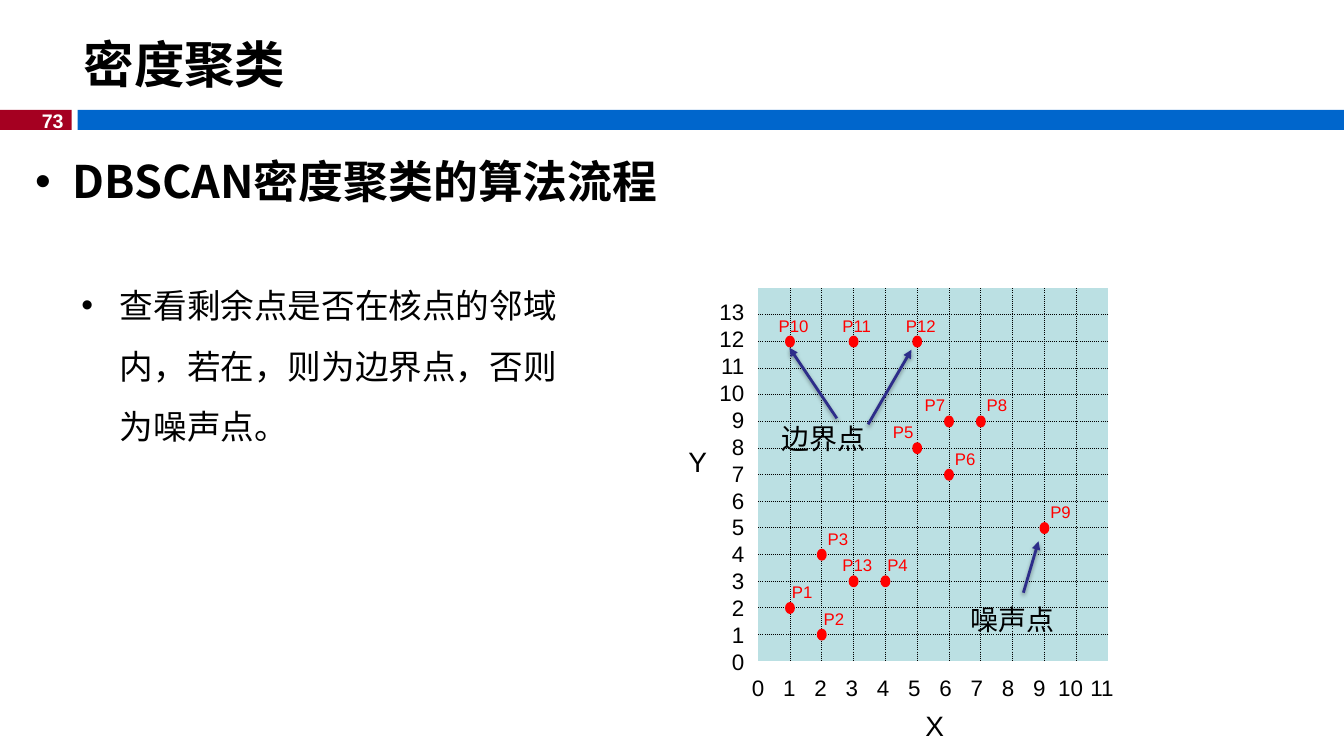
import dataclasses
import pptx
import pptx.util
import pptx.dml.color
import pptx.enum.shapes
import pptx.enum.text
import pptx.oxml
import pptx.oxml.ns
from lxml import etree

TITLE = "密度聚类"
PAGE_NUMBER = "73"
HEADING = "DBSCAN密度聚类的算法流程"
EXPLANATION = "查看剩余点是否在核点的邻域内，若在，则为边界点，否则为噪声点。"
X_TICKS = [str(n) for n in range(12)]
Y_TICKS = [str(n) for n in range(13, -1, -1)]
POINTS = [
    ("P10", 1, 12, "above"), ("P11", 3, 12, "above"), ("P12", 5, 12, "above"),
    ("P7", 6, 9, "left"), ("P8", 7, 9, "right"), ("P5", 5, 8, "left"),
    ("P6", 6, 7, "right"), ("P9", 9, 5, "right"), ("P1", 1, 2, "near"),
    ("P2", 2, 1, "near"), ("P4", 4, 3, "near"), ("P13", 3, 3, "above"),
    ("P3", 2, 4, "right"),
]
LABEL_SHIFT = {"above": -0.21, "right": -0.04, "left": -0.34, "near": -0.08}
LABEL_RISE = 0.31
CAPTIONS = [
    ("边界点", 7.65, 4.13, 1.28), ("噪声点", 9.53, 5.93, 1.28),
    ("X", 9.08, 6.98, 0.4), ("Y", 6.73, 4.36, 0.4),
]
ARROWS = [
    ((8.61, 4.21), (9.04, 3.47)),
    ((8.3, 4.15), (7.83, 3.45)),
    ((10.15, 5.88), (10.3, 5.37)),
]


@dataclasses.dataclass(frozen=True)
class Theme:
    latin: str = "Arial"
    chinese: str = "Noto Sans CJK SC"
    ink: str = "000000"
    white: str = "FFFFFF"
    badge: str = "A50021"
    band: str = "0066CC"
    grid: str = "BBE0E3"
    point: str = "FF0000"
    arrow: str = "2D2D8A"
    title: int = 36
    heading: int = 32
    body: int = 24
    caption: int = 20
    tick: int = 16
    page: int = 14
    label: int = 12


theme = Theme()
WIDTH, HEIGHT = 13.33, 7.5
COLUMNS, ROWS = 11, 14
GRID_LEFT, GRID_TOP, GRID_WIDTH, GRID_HEIGHT = 7.52, 2.86, 3.47, 3.7
COLUMN, ROW = GRID_WIDTH / COLUMNS, GRID_HEIGHT / ROWS
X_PITCH, Y_PITCH = 0.31, 19.23
DOT_WIDTH, DOT_HEIGHT = 0.07, 0.09

inch = pptx.util.Inches
align = pptx.enum.text.PP_ALIGN
preset = pptx.enum.shapes.MSO_SHAPE
ns = pptx.oxml.ns.nsdecls("a")
qn = pptx.oxml.ns.qn


def rgb(value):
    return pptx.dml.color.RGBColor.from_string(value)


def write(paragraph, words, size, color=theme.ink, font=theme.latin, bold=False):
    run = paragraph.add_run()
    run.text = words
    run.font.size = pptx.util.Pt(size)
    run.font.name = font
    run.font.bold = bold
    run.font.color.rgb = rgb(color)
    etree.SubElement(run.font._element, qn("a:ea"), typeface=theme.chinese)


def text_box(left, top, width, height, wrap=True):
    frame = slide.shapes.add_textbox(*map(inch, (left, top, width, height))).text_frame
    frame.word_wrap = wrap
    return frame


def add_bullet(paragraph, indent):
    properties = paragraph._p.get_or_add_pPr()
    properties.set("marL", str(inch(indent)))
    properties.set("indent", str(-inch(indent)))
    properties.append(pptx.oxml.parse_xml(f'<a:buFont {ns} typeface="Arial"/>'))
    properties.append(pptx.oxml.parse_xml(f'<a:buChar {ns} char="•"/>'))


def solid(kind, left, top, width, height, color):
    figure = slide.shapes.add_shape(kind, *map(inch, (left, top, width, height)))
    figure.shadow.inherit = False
    figure.fill.solid()
    figure.fill.fore_color.rgb = rgb(color)
    figure.line.fill.background()
    return figure


def style_cell(cell, row, column):
    cell.margin_left = cell.margin_right = cell.margin_top = cell.margin_bottom = 0
    etree.SubElement(cell.text_frame.paragraphs[0]._p, qn("a:endParaRPr"), sz="800")
    inner = {"L": column > 0, "R": column < COLUMNS - 1, "T": row > 0, "B": row < ROWS - 1}
    for side, visible in inner.items():
        stroke = (f'<a:solidFill><a:srgbClr val="{theme.ink}"/></a:solidFill>'
                  '<a:prstDash val="sysDot"/>') if visible else "<a:noFill/>"
        cell._tc.get_or_add_tcPr().append(pptx.oxml.parse_xml(
            f'<a:ln{side} {ns} w="9525">{stroke}</a:ln{side}>'))
    cell.fill.solid()
    cell.fill.fore_color.rgb = rgb(theme.grid)


deck = pptx.Presentation()
deck.slide_width, deck.slide_height = inch(WIDTH), inch(HEIGHT)
slide = deck.slides.add_slide(deck.slide_layouts[5])

solid(preset.RECTANGLE, 0, 1.09, 0.71, 0.2, theme.badge)
solid(preset.RECTANGLE, 0.77, 1.09, WIDTH - 0.77, 0.2, theme.band)
page = text_box(0.29, 1.03, 0.44, 0.34, wrap=False).paragraphs[0]
page.alignment = align.RIGHT
write(page, PAGE_NUMBER, theme.page, theme.white, bold=True)

title = slide.shapes.title
title.left, title.top, title.width, title.height = map(inch, (0.73, 0.26, 12.6, 0.74))
title.text_frame.auto_size = pptx.enum.text.MSO_AUTO_SIZE.NONE
title.text_frame.vertical_anchor = pptx.enum.text.MSO_ANCHOR.MIDDLE
title.text_frame.paragraphs[0].alignment = align.LEFT
write(title.text_frame.paragraphs[0], TITLE, theme.title, font=theme.chinese, bold=True)

heading = text_box(0.25, 1.48, 12, 0.8).paragraphs[0]
add_bullet(heading, 0.37)
write(heading, HEADING, theme.heading, font=theme.chinese, bold=True)

explanation = text_box(0.71, 2.58, 5.02, 1.85).paragraphs[0]
add_bullet(explanation, 0.38)
explanation.line_spacing = 1.5
write(explanation, EXPLANATION, theme.body)

grid = slide.shapes.add_table(
    ROWS, COLUMNS, *map(inch, (GRID_LEFT, GRID_TOP, GRID_WIDTH, GRID_HEIGHT))).table
grid.first_row = grid.horz_banding = False
for column in range(COLUMNS):
    grid.columns[column].width = inch(COLUMN)
for row in range(ROWS):
    grid.rows[row].height = inch(ROW)
    for column in range(COLUMNS):
        style_cell(grid.cell(row, column), row, column)

y_axis = text_box(6.77, 2.91, 0.71, 3.84)
for index, tick in enumerate(Y_TICKS):
    line = y_axis.add_paragraph() if index else y_axis.paragraphs[0]
    line.alignment = align.RIGHT
    line.line_spacing = pptx.util.Pt(Y_PITCH)
    write(line, tick, theme.tick)

x_axis = text_box(7.36, 6.64, 3.91, 0.37).paragraphs[0]
tab_stops = etree.SubElement(x_axis._p.get_or_add_pPr(), qn("a:tabLst"))
for index in range(1, len(X_TICKS)):
    etree.SubElement(tab_stops, qn("a:tab"), pos=str(inch(0.06 + X_PITCH * index)), algn="ctr")
write(x_axis, "\t".join(X_TICKS), theme.tick)

for name, x, y, placement in POINTS:
    center_x = GRID_LEFT + x * COLUMN
    center_y = GRID_TOP + (ROWS - y) * ROW
    dot = solid(preset.OVAL, center_x - DOT_WIDTH / 2, center_y - DOT_HEIGHT / 2,
                DOT_WIDTH, DOT_HEIGHT, theme.point)
    dot.line.color.rgb = rgb(theme.point)
    dot.line.width = pptx.util.Pt(2)
    label = text_box(center_x + LABEL_SHIFT[placement], center_y - LABEL_RISE, 0.57, 0.3)
    write(label.paragraphs[0], name, theme.label, theme.point)

for words, left, top, width in CAPTIONS:
    write(text_box(left, top, width, 0.44).paragraphs[0], words, theme.caption)

for start, end in ARROWS:
    arrow = slide.shapes.add_connector(
        pptx.enum.shapes.MSO_CONNECTOR.STRAIGHT, *map(inch, start + end))
    arrow.line.color.rgb = rgb(theme.arrow)
    arrow.line.width = pptx.util.Pt(2)
    etree.SubElement(arrow.line._get_or_add_ln(), qn("a:tailEnd"), type="triangle")
    arrow._element.spPr.append(pptx.oxml.parse_xml(
        f'<a:effectLst {ns}><a:outerShdw blurRad="39370" dist="20320" dir="5400000">'
        f'<a:srgbClr val="{theme.ink}"><a:alpha val="38000"/></a:srgbClr>'
        '</a:outerShdw></a:effectLst>'))

deck.save("out.pptx")
